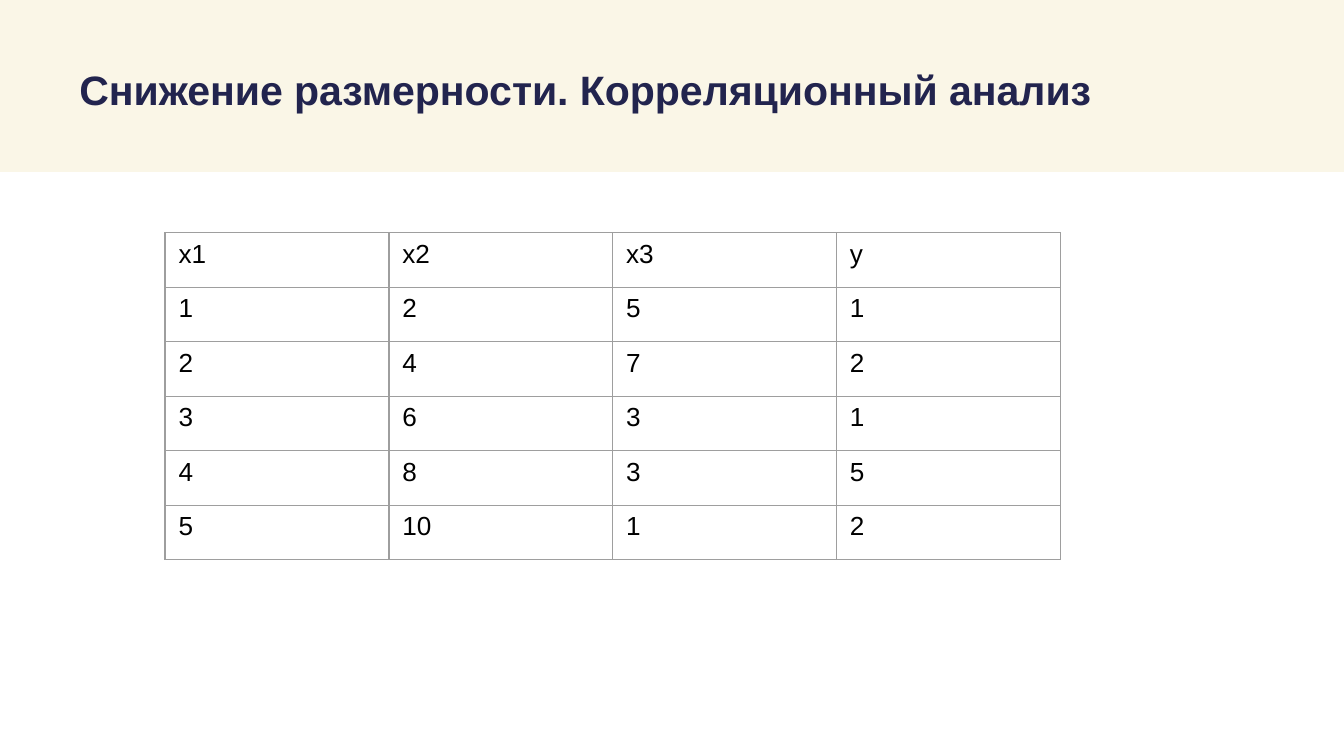
from dataclasses import dataclass

from lxml.etree import SubElement as Sub
from pptx import Presentation
from pptx.dml.color import RGBColor
from pptx.enum.shapes import MSO_SHAPE as Shape
from pptx.enum.text import MSO_ANCHOR as Anchor
from pptx.oxml.ns import qn
from pptx.util import Cm, Pt


@dataclass
class Style:
    size: float
    color: str
    bold: bool = False


@dataclass
class Grid:
    left: float
    top: float
    col: float
    row: float
    data: list[list[str]]


HEAD = Style(22, "22244E", True)
BODY = Style(14, "000000")
GRID = Grid(3.12, 4.4, 4.23, 1.03, [
    ["x1", "x2", "x3", "y"],
    ["1", "2", "5", "1"],
    ["2", "4", "7", "2"],
    ["3", "6", "3", "1"],
    ["4", "8", "3", "5"],
    ["5", "10", "1", "2"],
])


def paint(fmt, color: str) -> None:
    """Give a fill one solid colour."""
    fmt.solid()
    fmt.fore_color.rgb = RGBColor.from_string(color)


def write(frame, text: str, style: Style) -> None:
    frame.text = text
    for run in frame.paragraphs[0].runs:
        font = run.font
        font.name, font.size, font.bold = "Arial", Pt(style.size), style.bold
        paint(font.fill, style.color)


def edge(cell, color: str, width: float) -> None:
    """Draw all four borders of a cell."""
    props = cell._tc.get_or_add_tcPr()
    for side in ("a:lnL", "a:lnR", "a:lnT", "a:lnB"):
        line = Sub(props, qn(side), w=str(Pt(width)))
        Sub(Sub(line, qn("a:solidFill")), qn("a:srgbClr"), val=color)


def draw_band(slide) -> None:
    band = slide.shapes.add_shape(Shape.RECTANGLE, 0, Cm(-0.02), Cm(25.4), Cm(3.27))
    band.shadow.inherit = False
    paint(band.fill, "FAF6E7")
    band.line.fill.background()


def draw_title(slide, text: str) -> None:
    frame = slide.shapes.add_textbox(Cm(1.25), Cm(0.97), Cm(24.15), Cm(2.49)).text_frame
    frame.word_wrap = True
    frame.vertical_anchor = Anchor.TOP
    frame.margin_left = frame.margin_right = Cm(0.25)
    frame.margin_top = frame.margin_bottom = Cm(0.25)
    write(frame, text, HEAD)


def draw_grid(slide, grid: Grid) -> None:
    rows, cols = len(grid.data), len(grid.data[0])
    table = slide.shapes.add_table(
        rows, cols, Cm(grid.left), Cm(grid.top),
        Cm(grid.col * cols), Cm(grid.row * rows)).table
    table.first_row = table.horz_banding = False
    for col in table.columns:
        col.width = Cm(grid.col)
    for row, texts in zip(table.rows, grid.data):
        row.height = Cm(grid.row)
        for cell, text in zip(row.cells, texts):
            write(cell.text_frame, text, BODY)
            edge(cell, "9E9E9E", 0.75)
            cell.fill.background()


def main() -> None:
    deck = Presentation()
    deck.slide_width, deck.slide_height = Cm(25.4), Cm(14.29)
    slide = deck.slides.add_slide(deck.slide_layouts[6])
    draw_band(slide)
    draw_title(slide, "Снижение размерности. Корреляционный анализ")
    draw_grid(slide, GRID)
    deck.save("out.pptx")


if __name__ == "__main__":
    main()
